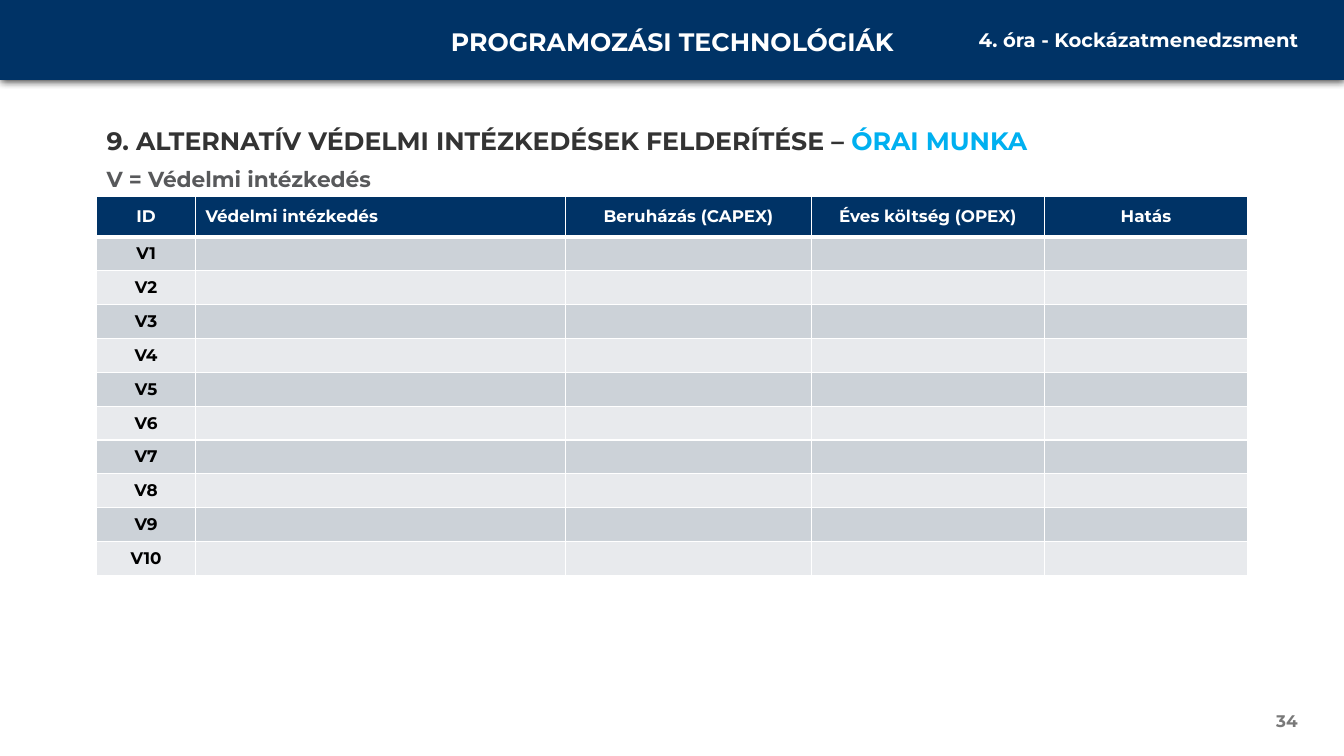
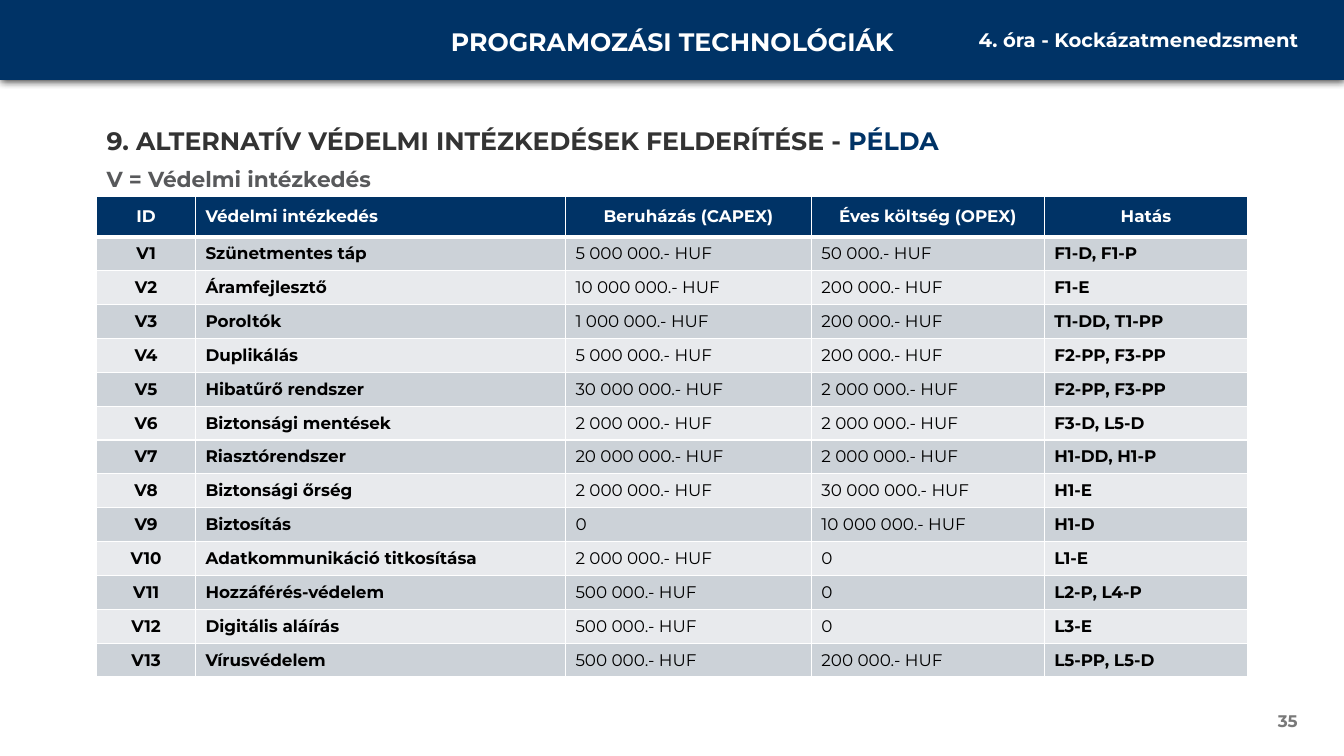
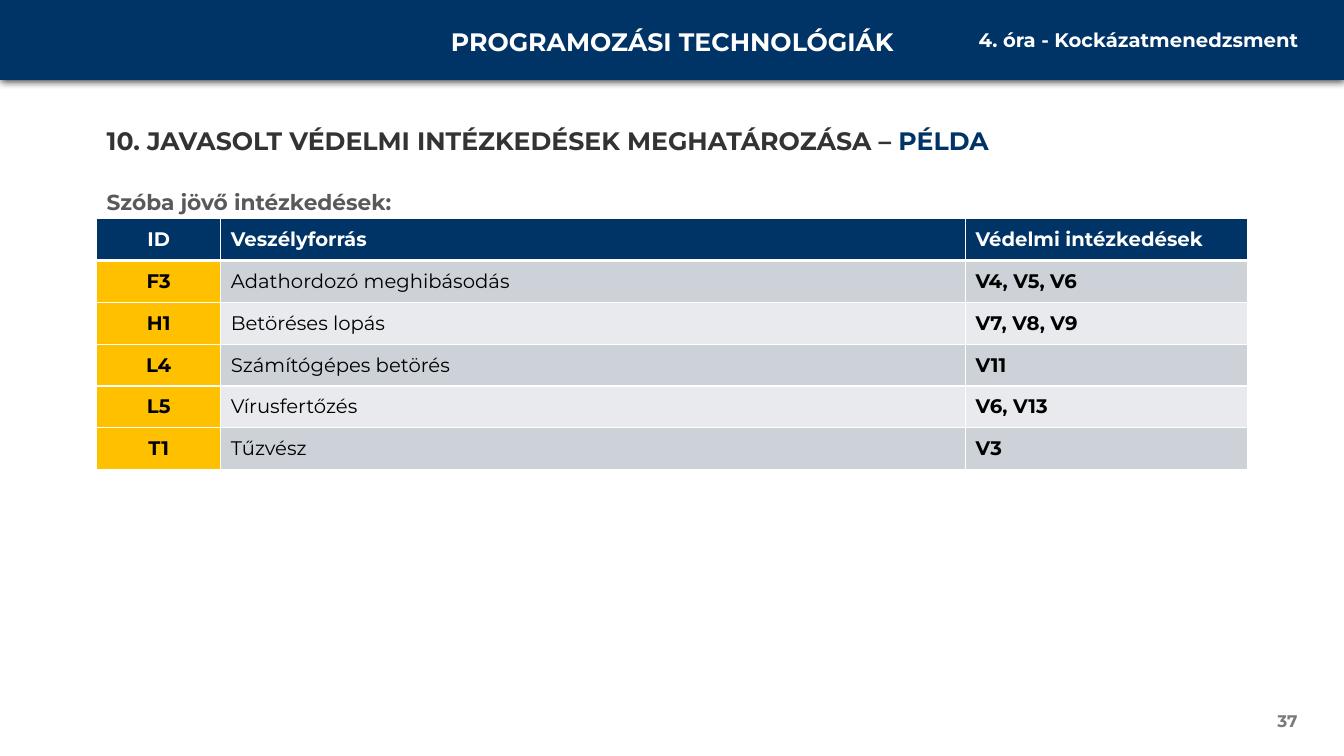
from dataclasses import dataclass
from typing import NamedTuple, Optional, Sequence

from lxml.etree import SubElement
from pptx import Presentation
from pptx.dml.color import RGBColor
from pptx.enum.shapes import MSO_SHAPE
from pptx.enum.text import MSO_ANCHOR, MSO_AUTO_SIZE, PP_ALIGN
from pptx.oxml.ns import qn
from pptx.slide import Slide
from pptx.table import _Cell
from pptx.text.text import TextFrame
from pptx.util import Pt

LEFT = PP_ALIGN.LEFT
CENTER = PP_ALIGN.CENTER
RIGHT = PP_ALIGN.RIGHT
TOP = MSO_ANCHOR.TOP
MIDDLE = MSO_ANCHOR.MIDDLE
RECTANGLE = MSO_SHAPE.RECTANGLE
FIT_SHAPE = MSO_AUTO_SIZE.SHAPE_TO_FIT_TEXT
NO_FIT = MSO_AUTO_SIZE.NONE

NAVY = RGBColor(0x00, 0x33, 0x66)
SKY = RGBColor(0x00, 0xB0, 0xF0)
AMBER = RGBColor(0xFF, 0xC0, 0x00)
WHITE = RGBColor(0xFF, 0xFF, 0xFF)
BLACK = RGBColor(0x00, 0x00, 0x00)
CHARCOAL = RGBColor(0x33, 0x33, 0x33)
SLATE = RGBColor(0x58, 0x59, 0x5B)
GREY = RGBColor(0x79, 0x79, 0x79)
BANDS = (RGBColor(0xCC, 0xD2, 0xD8), RGBColor(0xE8, 0xEA, 0xED))

FONT = "Montserrat"
SLIDE_WIDTH, SLIDE_HEIGHT = 960, 540
BAND_HEIGHT = 57
CONTENT_LEFT, CONTENT_WIDTH = 69.1, 822.2
THIN_BORDER, HEADER_BORDER = 1, 3


class Box(NamedTuple):
    left: float
    top: float
    width: float
    height: float


class Run(NamedTuple):
    text: str
    color: RGBColor


@dataclass(frozen=True)
class Column:
    header: str
    width: float
    header_align: PP_ALIGN = LEFT
    align: PP_ALIGN = LEFT
    bold: bool = True
    fill: Optional[RGBColor] = None


@dataclass(frozen=True)
class TableSlide:
    title: str
    title_tag: Run
    number: int
    caption: str
    caption_top: float
    columns: Sequence[Column]
    rows: Sequence[Sequence[str]]
    header_height: float
    row_height: float
    font_size: float


MEASURE_COLUMNS = (
    Column("ID", 70.5, CENTER, CENTER),
    Column("Védelmi intézkedés", 264.3),
    Column("Beruházás (CAPEX)", 175.7, CENTER, bold=False),
    Column("Éves költség (OPEX)", 166.3, CENTER, bold=False),
    Column("Hatás", 145.4, CENTER),
)
THREAT_COLUMNS = (
    Column("ID", 88.6, CENTER, CENTER, fill=AMBER),
    Column("Veszélyforrás", 532, bold=False),
    Column("Védelmi intézkedések", 201.6),
)

EMPTY_MEASURES = [(f"V{index}", "", "", "", "") for index in range(1, 11)]
MEASURES = [
    ("V1", "Szünetmentes táp", "5 000 000.- HUF", "50 000.- HUF", "F1-D, F1-P"),
    ("V2", "Áramfejlesztő", "10 000 000.- HUF", "200 000.- HUF", "F1-E"),
    ("V3", "Poroltók", "1 000 000.- HUF", "200 000.- HUF", "T1-DD, T1-PP"),
    ("V4", "Duplikálás", "5 000 000.- HUF", "200 000.- HUF", "F2-PP, F3-PP"),
    ("V5", "Hibatűrő rendszer", "30 000 000.- HUF", "2 000 000.- HUF", "F2-PP, F3-PP"),
    ("V6", "Biztonsági mentések", "2 000 000.- HUF", "2 000 000.- HUF", "F3-D, L5-D"),
    ("V7", "Riasztórendszer", "20 000 000.- HUF", "2 000 000.- HUF", "H1-DD, H1-P"),
    ("V8", "Biztonsági őrség", "2 000 000.- HUF", "30 000 000.- HUF", "H1-E"),
    ("V9", "Biztosítás", "0", "10 000 000.- HUF", "H1-D"),
    ("V10", "Adatkommunikáció titkosítása", "2 000 000.- HUF", "0", "L1-E"),
    ("V11", "Hozzáférés-védelem", "500 000.- HUF", "0", "L2-P, L4-P"),
    ("V12", "Digitális aláírás", "500 000.- HUF", "0", "L3-E"),
    ("V13", "Vírusvédelem", "500 000.- HUF", "200 000.- HUF", "L5-PP, L5-D"),
]
THREATS = [
    ("F3", "Adathordozó meghibásodás", "V4, V5, V6"),
    ("H1", "Betöréses lopás", "V7, V8, V9"),
    ("L4", "Számítógépes betörés", "V11"),
    ("L5", "Vírusfertőzés", "V6, V13"),
    ("T1", "Tűzvész", "V3"),
]

SLIDES = (
    TableSlide("9. ALTERNATÍV VÉDELMI INTÉZKEDÉSEK FELDERÍTÉSE – ", Run("ÓRAI MUNKA", SKY), 34,
               "V = Védelmi intézkedés", 115.2, MEASURE_COLUMNS, EMPTY_MEASURES, 28.8, 24.2, 12),
    TableSlide("9. ALTERNATÍV VÉDELMI INTÉZKEDÉSEK FELDERÍTÉSE - ", Run("PÉLDA", NAVY), 35,
               "V = Védelmi intézkedés", 115.2, MEASURE_COLUMNS, MEASURES, 28.8, 24.2, 12),
    TableSlide("10. JAVASOLT VÉDELMI INTÉZKEDÉSEK MEGHATÁROZÁSA – ", Run("PÉLDA", NAVY), 37,
               "Szóba jövő intézkedések:", 131, THREAT_COLUMNS, THREATS, 29.9, 29.9, 14),
)


def write_text(frame: TextFrame, *runs: Run, size: float, align: PP_ALIGN = LEFT,
               bold: bool = True, space_after: float = 0) -> None:
    paragraph = frame.paragraphs[0]
    paragraph.alignment = align
    paragraph.space_after = Pt(space_after)
    for text, color in runs:
        run = paragraph.add_run()
        run.text = text
        run.font.name = FONT
        run.font.size = Pt(size)
        run.font.bold = bold
        run.font.color.rgb = color
    if not runs:
        SubElement(paragraph._p, qn("a:endParaRPr"), sz=str(int(size * 100)))


def add_text(slide: Slide, box: Box, *runs: Run, size: float, align: PP_ALIGN = LEFT,
             anchor: MSO_ANCHOR = TOP, grow: bool = False, space_after: float = 0) -> None:
    frame = slide.shapes.add_textbox(*map(Pt, box)).text_frame
    frame.word_wrap = True
    frame.auto_size = FIT_SHAPE if grow else NO_FIT
    frame.vertical_anchor = anchor
    write_text(frame, *runs, size=size, align=align, space_after=space_after)


def add_header_band(slide: Slide) -> None:
    band = slide.shapes.add_shape(RECTANGLE, 0, 0, Pt(SLIDE_WIDTH), Pt(BAND_HEIGHT))
    band.fill.solid()
    band.fill.fore_color.rgb = NAVY
    band.line.fill.background()
    band.shadow.inherit = False
    effects = band._element.spPr.find(qn("a:effectLst"))
    shadow = SubElement(effects, qn("a:outerShdw"), blurRad=str(Pt(6)), dist="0",
                        dir="5400000", algn="t", rotWithShape="0")
    color = SubElement(shadow, qn("a:srgbClr"), val=str(BLACK))
    SubElement(color, qn("a:alpha"), val="80000")


def add_frame(slide: Slide, number: int) -> None:
    """Draw the band, course title, lesson name and page number."""
    add_header_band(slide)
    add_text(slide, Box(292.3, 15.1, 375.8, 29.1), Run("PROGRAMOZÁSI TECHNOLÓGIÁK", WHITE),
             size=18, align=CENTER, grow=True)
    add_text(slide, Box(674.6, 16.6, 260, 24.2), Run("4. óra - Kockázatmenedzsment", WHITE),
             size=14, align=RIGHT, grow=True)
    add_text(slide, Box(718, 500.4, 216, 28.8), Run(str(number), GREY),
             size=12, align=RIGHT, anchor=MIDDLE)


def style_cell(cell: _Cell, fill: RGBColor, top: float, bottom: float) -> None:
    """Give the cell white borders, a fill and a middle anchor."""
    properties = cell._tc.get_or_add_tcPr()
    widths = {"a:lnL": THIN_BORDER, "a:lnR": THIN_BORDER, "a:lnT": top, "a:lnB": bottom}
    for tag, width in widths.items():
        line = SubElement(properties, qn(tag), w=str(Pt(width)))
        SubElement(SubElement(line, qn("a:solidFill")), qn("a:srgbClr"), val=str(WHITE))
    cell.fill.solid()
    cell.fill.fore_color.rgb = fill
    cell.vertical_anchor = MIDDLE


def add_data_table(slide: Slide, content: TableSlide) -> None:
    columns, rows = content.columns, content.rows
    heights = [content.header_height] + [content.row_height] * len(rows)
    box = Box(CONTENT_LEFT, content.caption_top + 25.2, CONTENT_WIDTH, sum(heights))
    table = slide.shapes.add_table(len(heights), len(columns), *map(Pt, box)).table
    table.horz_banding = False
    for row, height in zip(table.rows, heights):
        row.height = Pt(height)
    for column_index, column in enumerate(columns):
        table.columns[column_index].width = Pt(column.width)
        header = table.cell(0, column_index)
        style_cell(header, NAVY, THIN_BORDER, HEADER_BORDER)
        write_text(header.text_frame, Run(column.header, WHITE),
                   size=content.font_size, align=column.header_align)
        for row_index, values in enumerate(rows):
            cell = table.cell(row_index + 1, column_index)
            top = THIN_BORDER if row_index else HEADER_BORDER
            style_cell(cell, column.fill or BANDS[row_index % 2], top, THIN_BORDER)
            text = values[column_index]
            runs = [Run(text, BLACK)] if text else []
            write_text(cell.text_frame, *runs, size=content.font_size,
                       align=column.align, bold=column.bold)


def add_table_slide(presentation: Presentation, content: TableSlide) -> None:
    slide = presentation.slides.add_slide(presentation.slide_layouts[6])
    add_frame(slide, content.number)
    add_text(slide, Box(CONTENT_LEFT, 85.7, CONTENT_WIDTH, 29.1),
             Run(content.title, CHARCOAL), content.title_tag, size=18, grow=True)
    add_text(slide, Box(CONTENT_LEFT, content.caption_top, CONTENT_WIDTH, 369.4),
             Run(content.caption, SLATE), size=15.5, space_after=2)
    add_data_table(slide, content)


def main() -> None:
    presentation = Presentation()
    presentation.slide_width = Pt(SLIDE_WIDTH)
    presentation.slide_height = Pt(SLIDE_HEIGHT)
    for content in SLIDES:
        add_table_slide(presentation, content)
    presentation.save("out.pptx")


if __name__ == "__main__":
    main()
